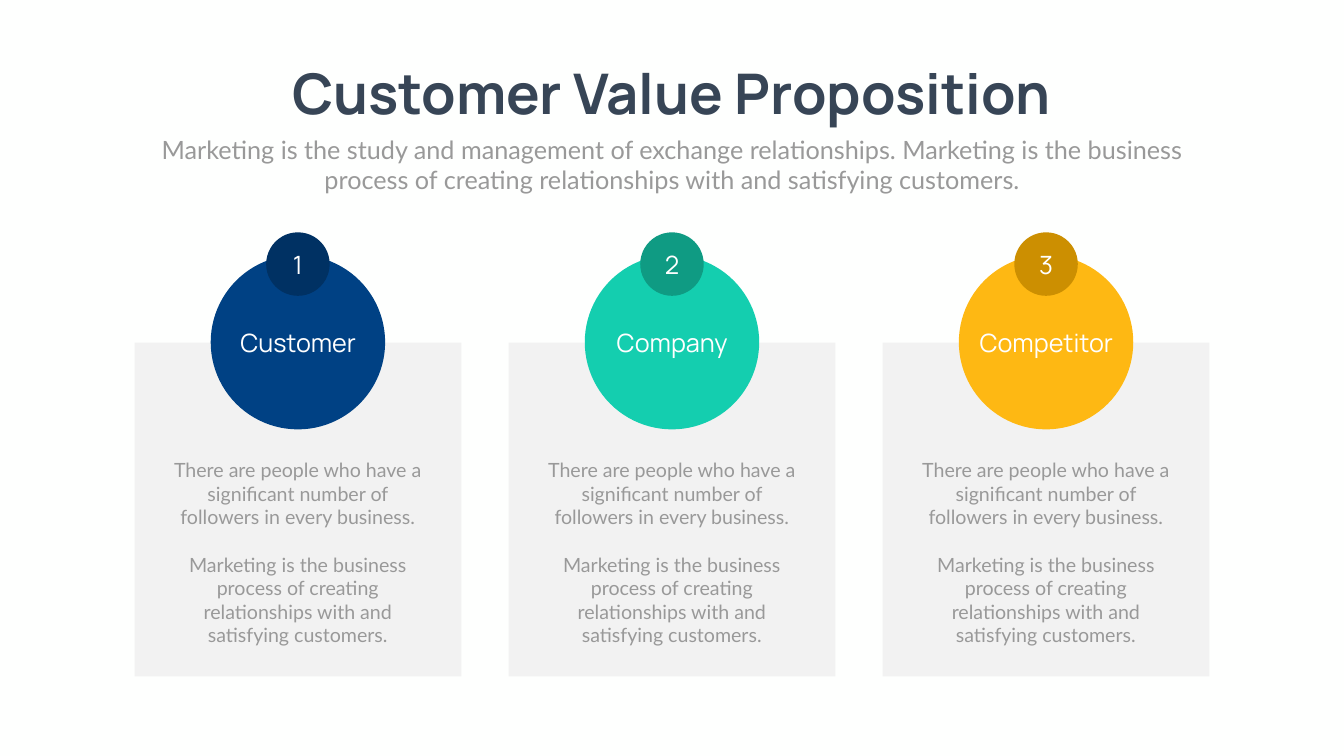
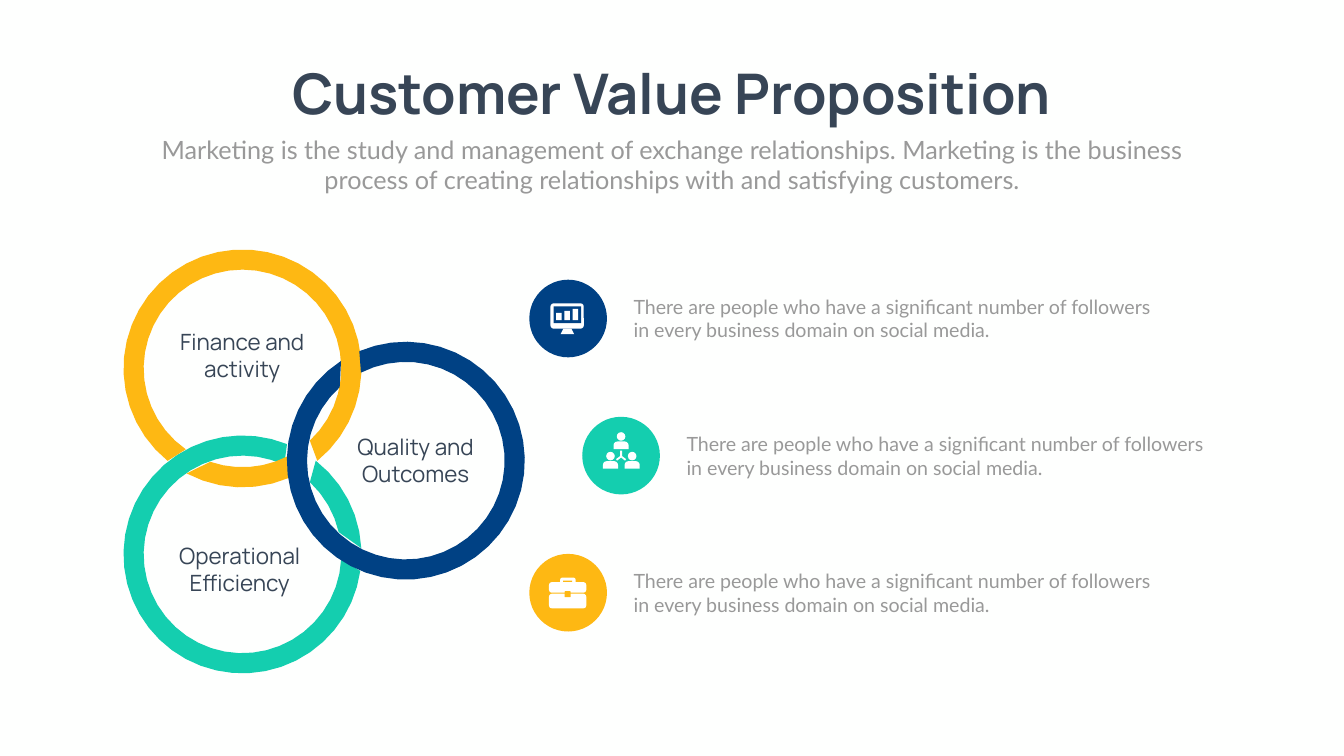
from math import cos, radians, sin

from pptx import Presentation
from pptx.dml.color import RGBColor
from pptx.enum.shapes import MSO_SHAPE
from pptx.enum.text import MSO_ANCHOR, PP_ALIGN
from pptx.util import Pt

# One px is a hundredth of an inch
SCALE = 9144
WIDTH, HEIGHT = 2666, 1500
MID = WIDTH // 2

HEX = {
    "paper": "FEFFFE", "white": "FFFFFF", "panel": "F2F2F2",
    "ink": "374556", "grey": "999999",
    "blue": "004184", "teal": "14CEAF", "gold": "FEB813",
    "navy": "003163", "pine": "0F9B83", "ochre": "CC8F01",
}
HEAD, BODY = "Manrope", "Lato"
OVAL, RECT = MSO_SHAPE.OVAL, MSO_SHAPE.RECTANGLE
ROUND, DOME = MSO_SHAPE.ROUNDED_RECTANGLE, MSO_SHAPE.ROUND_2_SAME_RECTANGLE

TITLE = "Customer Value Proposition"
STUDY = ("Marketing is the study and management of exchange relationships. "
         "Marketing is the business process of creating relationships with "
         "and satisfying customers.")
CROWD = ("There are people who have a significant number of followers "
         "in every business.")
TRADE = ("Marketing is the business process of creating relationships with "
         "and satisfying customers.")
SOCIAL = ("There are people who have a significant number of followers "
          "in every business domain on social media.")


def px(value):
    return round(value * SCALE)


def tint(name):
    return RGBColor.from_string(HEX[name])


# Basic elements
def write(frame, *lines, size=28, face=BODY, color="grey", bold=False,
          align=PP_ALIGN.CENTER, anchor=MSO_ANCHOR.TOP, gap=0):
    frame.word_wrap = True
    frame.vertical_anchor = anchor
    for i, line in enumerate(lines):
        para = frame.add_paragraph() if i else frame.paragraphs[0]
        para.alignment = align
        if i:
            para.space_before = Pt(gap)
        run = para.add_run()
        run.text = line
        font = run.font
        font.name, font.size, font.bold = face, Pt(size), bold
        font.color.rgb = tint(color)


def label(slide, x, y, w, h, *lines, **style):
    box = slide.shapes.add_textbox(px(x), px(y), px(w), px(h))
    write(box.text_frame, *lines, **style)


def paint(shape, color):
    shape.shadow.inherit = False
    shape.fill.solid()
    shape.fill.fore_color.rgb = tint(color)
    shape.line.fill.background()
    return shape


def block(slide, kind, x, y, w, h, color, curve=None):
    shape = slide.shapes.add_shape(kind, px(x), px(y), px(w), px(h))
    if curve is not None:
        shape.adjustments[0] = curve
    return paint(shape, color)


def disc(slide, x, y, size, color):
    """Circle centred on x, y."""
    return block(slide, OVAL, x - size / 2, y - size / 2, size, size, color)


def outline(slide, x, y, spots, color):
    """Closed outline with spots measured from x, y."""
    edge = [(px(x + dx), px(y + dy)) for dx, dy in spots]
    path = slide.shapes.build_freeform(*edge[0])
    path.add_line_segments(edge[1:], close=True)
    paint(path.convert_to_shape(), color)


def arc(radius, start, end):
    steps = max(4, round(abs(end - start) / 8))
    turns = [radians(start + (end - start) * i / steps)
             for i in range(steps + 1)]
    return [(radius * cos(t), radius * sin(t)) for t in turns]


def band(slide, x, y, outer, inner, color):
    """Part of a ring; outer and inner edges have their own angles."""
    outline(slide, x, y, arc(236, *outer) + arc(196, *inner[::-1]), color)


# Shared page with its heading
def page(deck):
    slide = deck.slides.add_slide(deck.slide_layouts[6])
    fill = slide.background.fill
    fill.solid()
    fill.fore_color.rgb = tint("paper")
    label(slide, 513, 112, 1639, 145, TITLE,
          size=80, face=HEAD, color="ink", bold=True)
    label(slide, 292, 261, 2082, 131, STUDY, size=36)
    return slide


# Cards
def card(slide, mid, number, name, color, shade):
    bright = dict(size=36, face=HEAD, color="white")
    block(slide, RECT, mid - 324, 680, 648, 662, "panel")
    disc(slide, mid, 679, 346, color)
    label(slide, mid - 188, 644, 377, 71, name, **bright)
    badge = disc(slide, mid, 524, 126, shade)
    write(badge.text_frame, str(number), anchor=MSO_ANCHOR.MIDDLE, **bright)
    label(slide, mid - 256, 904, 511, 387, CROWD, TRADE, gap=34)


# Icons
def screen(slide, x, y, back):
    block(slide, ROUND, x - 35, y - 30, 66, 50, "white", 0.12)
    block(slide, RECT, x - 29, y - 24, 55, 33, back)
    block(slide, MSO_SHAPE.TRAPEZOID, x - 15, y + 20, 27, 11, "white", 0.5)
    for i, tall in enumerate((14, 18, 22)):
        block(slide, RECT, x - 24 + 16.5 * i, y + 3 - tall, 11, tall, "white")


def team(slide, x, y, back):
    for dx, dy in ((0, -38), (-21, 1), (22, 1)):
        disc(slide, x + dx, y + dy, 17, "white")
        block(slide, DOME, x + dx - 15, y + dy + 10, 30, 15, "white", 0.5)
    fork = ((-2, -10), (2, -10), (2, 1), (10, 7), (8, 10),
            (0, 4), (-8, 10), (-10, 7), (-2, 1))
    outline(slide, x, y, fork, "white")


def case(slide, x, y, back):
    block(slide, ROUND, x - 16, y - 30, 31, 20, "white", 0.25)
    block(slide, RECT, x - 10, y - 24, 18, 3, back)
    block(slide, ROUND, x - 38, y - 21, 74, 21, "white", 0.28)
    block(slide, ROUND, x - 38, y + 2, 74, 29, "white", 0.2)
    block(slide, ROUND, x - 7, y - 3, 12, 12, back, 0.15)


def point(slide, x, y, color, icon):
    disc(slide, x, y, 154, color)
    icon(slide, x, y, color)
    label(slide, x + 120, y - 52, 1070, 104, SOCIAL, align=PP_ALIGN.LEFT)


# Interlocked rings
def rings(slide):
    top, low, side = (481, 731), (481, 1100), (805, 914)
    for spot, outer, inner, color in (
            (low, (8, 292), (3, 295), "teal"),
            (low, (308, 357), (313, 347), "teal"),
            (top, (67, 118), (63, 109), "gold"),
            (top, (129, 411), (125, 407), "gold"),
            (side, (247, 597), (243, 588), "blue")):
        band(slide, *spot, outer, inner, color)
    for x, y, text in ((629, 854, "Quality and Outcomes"),
                       (280, 1070, "Operational Efficiency"),
                       (285, 646, "Finance and activity")):
        label(slide, x, y, 391, 118, text, size=32, face=HEAD, color="ink")


def main():
    deck = Presentation()
    deck.slide_width, deck.slide_height = px(WIDTH), px(HEIGHT)

    # Slide 1: three cards
    slide = page(deck)
    cards = (("Customer", "blue", "navy"), ("Company", "teal", "pine"),
             ("Competitor", "gold", "ochre"))
    for i, (name, color, shade) in enumerate(cards):
        card(slide, MID + 742 * (i - 1), i + 1, name, color, shade)

    # Slide 2: rings and points
    slide = page(deck)
    rings(slide)
    points = ((1127, "blue", screen), (1232, "teal", team),
              (1127, "gold", case))
    for i, (x, color, icon) in enumerate(points):
        point(slide, x, 632 + 272 * i, color, icon)

    deck.save("out.pptx")


if __name__ == "__main__":
    main()
